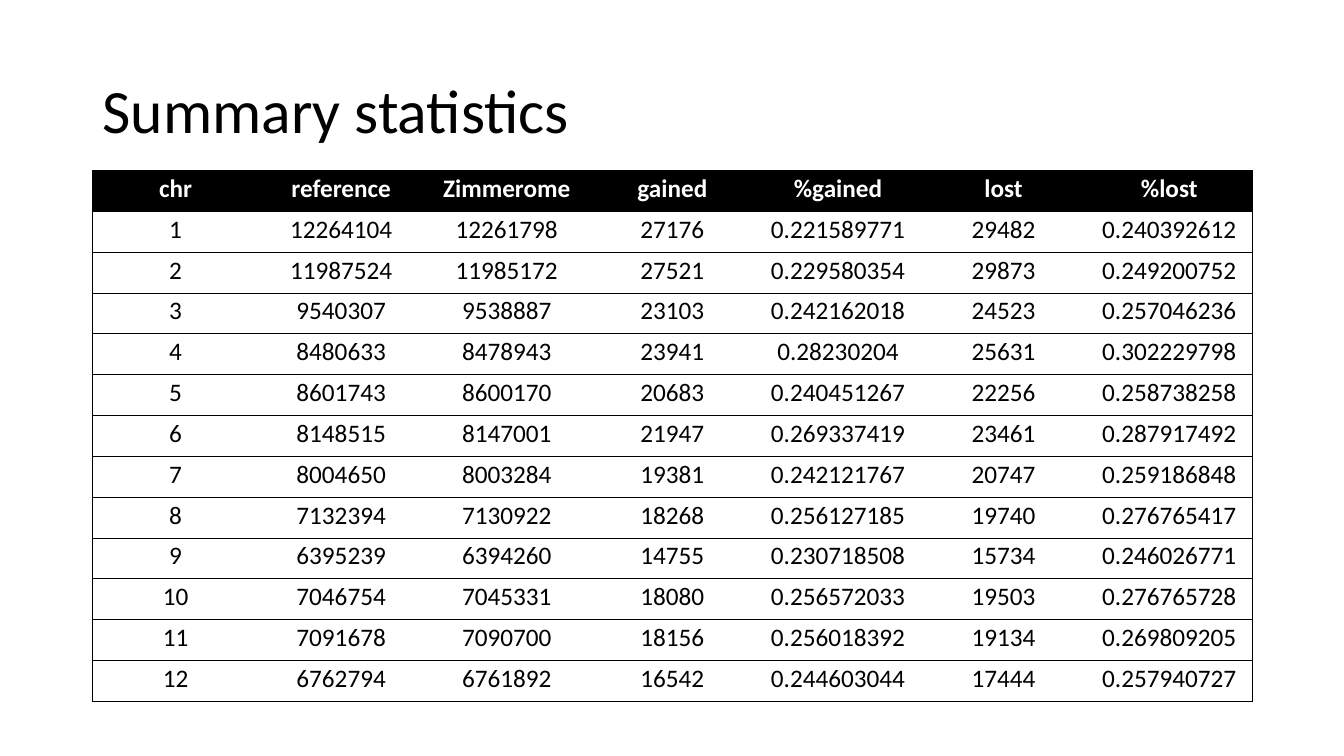
"""Builds the slide of summary statistics by chromosome."""
from dataclasses import dataclass

from lxml import etree
from pptx import Presentation, util as u
from pptx.dml.color import RGBColor
from pptx.enum import text
from pptx.oxml.ns import qn


@dataclass(frozen=True)
class Theme:
    """Colours, font and type sizes of the slide."""
    ink: str = "000000"
    paper: str = "FFFFFF"
    font: str = "Calibri"
    title_size: float = 44
    table_size: float = 18
    rule_width: float = 0.5


THEME = Theme()
PAGE_WIDTH, PAGE_HEIGHT = u.Inches(13.33), u.Inches(7.5)
LEFT, WIDTH = u.Inches(0.92), u.Inches(11.5)
TITLE_TOP, TITLE_HEIGHT = u.Inches(0.4), u.Inches(1.45)
TABLE_TOP, TABLE_HEIGHT = u.Inches(1.69), u.Inches(5.27)

HEADINGS = ("chr", "reference", "Zimmerome", "gained", "%gained", "lost", "%lost")
CHROMOSOMES = (
    ("1", "12264104", "12261798", "27176", "0.221589771", "29482", "0.240392612"),
    ("2", "11987524", "11985172", "27521", "0.229580354", "29873", "0.249200752"),
    ("3", "9540307", "9538887", "23103", "0.242162018", "24523", "0.257046236"),
    ("4", "8480633", "8478943", "23941", "0.28230204", "25631", "0.302229798"),
    ("5", "8601743", "8600170", "20683", "0.240451267", "22256", "0.258738258"),
    ("6", "8148515", "8147001", "21947", "0.269337419", "23461", "0.287917492"),
    ("7", "8004650", "8003284", "19381", "0.242121767", "20747", "0.259186848"),
    ("8", "7132394", "7130922", "18268", "0.256127185", "19740", "0.276765417"),
    ("9", "6395239", "6394260", "14755", "0.230718508", "15734", "0.246026771"),
    ("10", "7046754", "7045331", "18080", "0.256572033", "19503", "0.276765728"),
    ("11", "7091678", "7090700", "18156", "0.256018392", "19134", "0.269809205"),
    ("12", "6762794", "6761892", "16542", "0.244603044", "17444", "0.257940727"),
)


def style_paragraph(para, size, colour, bold=False):
    """Set the font of a whole paragraph."""
    para.font.name = THEME.font
    para.font.size = u.Pt(size)
    para.font.bold = bold
    para.font.color.rgb = RGBColor.from_string(colour)


def add_title(page, words):
    """Add the slide title, centred vertically in its box."""
    box = page.shapes.add_textbox(LEFT, TITLE_TOP, WIDTH, TITLE_HEIGHT)
    frame = box.text_frame
    frame.word_wrap = True
    frame.vertical_anchor = text.MSO_ANCHOR.MIDDLE
    para = frame.paragraphs[0]
    para.text = words
    para.line_spacing = 0.9
    style_paragraph(para, THEME.title_size, THEME.ink)


def rule_cell(cell, sides):
    """Draw thin rules on the named sides and clear the others."""
    properties = cell._tc.get_or_add_tcPr()
    for side in "LRTB":
        line = etree.SubElement(properties, qn(f"a:ln{side}"), w=str(u.Pt(THEME.rule_width)))
        if side in sides:
            fill = etree.SubElement(line, qn("a:solidFill"))
            etree.SubElement(fill, qn("a:srgbClr"), val=THEME.ink)
        else:
            etree.SubElement(line, qn("a:noFill"))


def fill_cell(cell, words, is_heading):
    """Write one centred value and colour its cell."""
    cell.vertical_anchor = text.MSO_ANCHOR.MIDDLE
    cell.margin_left = cell.margin_right = cell.margin_top = u.Inches(0.01)
    cell.margin_bottom = u.Inches(0.05)
    para = cell.text_frame.paragraphs[0]
    para.text = words
    para.alignment = text.PP_ALIGN.CENTER
    style_paragraph(para, THEME.table_size, THEME.paper if is_heading else THEME.ink, is_heading)
    if is_heading:
        cell.fill.solid()
        cell.fill.fore_color.rgb = RGBColor.from_string(THEME.ink)
    else:
        cell.fill.background()


def add_statistics(page, rows):
    """Add an evenly spaced table with a heading row and outer side rules."""
    columns = len(rows[0])
    frame = page.shapes.add_table(len(rows), columns, LEFT, TABLE_TOP, WIDTH, TABLE_HEIGHT)
    table = frame.table
    table.horz_banding = False
    for row, values in enumerate(rows):
        for column, words in enumerate(values):
            cell = table.cell(row, column)
            sides = "TB" + "L" * (column == 0) + "R" * (column == columns - 1)
            rule_cell(cell, sides)
            fill_cell(cell, words, row == 0)


def main():
    """Build and save the deck."""
    deck = Presentation()
    deck.slide_width, deck.slide_height = PAGE_WIDTH, PAGE_HEIGHT
    page = deck.slides.add_slide(deck.slide_layouts[6])
    add_title(page, "Summary statistics")
    add_statistics(page, (HEADINGS, *CHROMOSOMES))
    deck.save("out.pptx")


if __name__ == "__main__":
    main()
